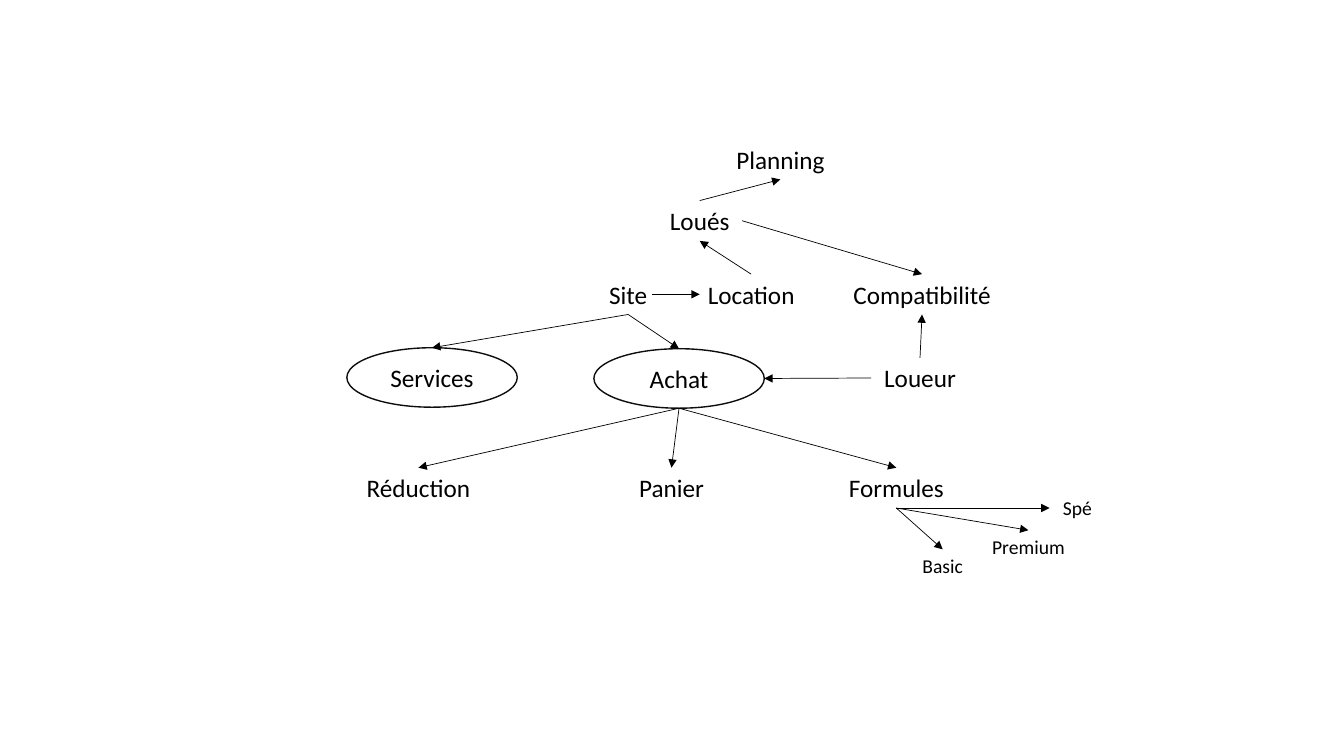
from dataclasses import dataclass

from lxml.etree import SubElement
from pptx import Presentation
from pptx.dml.color import RGBColor
from pptx.enum.shapes import MSO_CONNECTOR as Connector, MSO_SHAPE as Shape
from pptx.enum.text import MSO_ANCHOR as Anchor, MSO_AUTO_SIZE as AutoSize, PP_ALIGN as Align
from pptx.oxml.ns import qn
from pptx.util import Inches, Pt


@dataclass(frozen=True)
class Theme:
    font: str = "Calibri"
    ink: RGBColor = RGBColor(0, 0, 0)
    outline: RGBColor = RGBColor(0x0D, 0x0D, 0x0D)
    paper: RGBColor = RGBColor(255, 255, 255)
    topic_size: int = 18
    plan_size: int = 14
    outline_width: float = 1
    arrow_width: float = 0.5


THEME = Theme()

# Label: (left, top, width)
TOPICS = {
    "Planning": (7.03, 1.38, 1.42),
    "Loués": (6.52, 1.99, 0.84),
    "Site": (5.52, 2.72, 1.42),
    "Location": (6.74, 2.72, 1.42),
    "Compatibilité": (8.27, 2.72, 1.75),
    "Loueur": (8.64, 3.55, 0.97),
    "Réduction": (3.44, 4.64, 1.42),
    "Panier": (5.95, 4.64, 1.42),
    "Formules": (8.18, 4.64, 1.42),
}
PLANS = {
    "Spé": (10.41, 4.87, 0.55),
    "Premium": (9.49, 5.26, 1.42),
    "Basic": (8.64, 5.45, 1.42),
}
HUBS = {
    "Services": (3.44, 3.45, 1.69),
    "Achat": (5.89, 3.46, 1.69),
}
TOPIC_HEIGHT, PLAN_HEIGHT, HUB_HEIGHT = 0.4, 0.34, 0.59

# (start label, side, end label, side)
ARROWS = [
    ("Site", "bottom", "Services", "top"),
    ("Site", "bottom", "Achat", "top"),
    ("Location", "top", "Loués", "bottom"),
    ("Loués", "top", "Planning", "bottom"),
    ("Loués", "right", "Compatibilité", "top"),
    ("Loueur", "left", "Achat", "right"),
    ("Loueur", "top", "Compatibilité", "bottom"),
    ("Achat", "bottom", "Réduction", "top"),
    ("Achat", "bottom", "Panier", "top"),
    ("Achat", "bottom", "Formules", "top"),
    ("Formules", "bottom", "Basic", "top"),
    ("Formules", "bottom", "Premium", "top"),
    ("Formules", "bottom", "Spé", "left"),
]
SITE_TO_LOCATION = ((6.47, 2.92), (6.94, 2.92))

# Share of the width and height at which each side's midpoint lies
SIDES = {"top": (0.5, 0), "bottom": (0.5, 1), "left": (0, 0.5), "right": (1, 0.5)}


def write(frame, text, *, size, anchor=Anchor.TOP, autosize=AutoSize.NONE):
    frame.word_wrap = True
    frame.auto_size = autosize
    frame.vertical_anchor = anchor
    paragraph = frame.paragraphs[0]
    paragraph.alignment = Align.CENTER
    run = paragraph.add_run()
    run.text = text
    run.font.name = THEME.font
    run.font.size = Pt(size)
    run.font.color.rgb = THEME.ink


def add_label(slide, text, box, size):
    label = slide.shapes.add_textbox(*map(Inches, box))
    write(label.text_frame, text, size=size, autosize=AutoSize.SHAPE_TO_FIT_TEXT)


def add_hub(slide, text, box):
    hub = slide.shapes.add_shape(Shape.OVAL, *map(Inches, box))
    hub.shadow.inherit = False
    hub.fill.solid()
    hub.fill.fore_color.rgb = THEME.paper
    hub.line.color.rgb = THEME.outline
    hub.line.width = Pt(THEME.outline_width)
    write(hub.text_frame, text, size=THEME.topic_size, anchor=Anchor.MIDDLE)


def add_arrow(slide, start, end):
    arrow = slide.shapes.add_connector(Connector.STRAIGHT, *map(Inches, (*start, *end)))
    arrow.line.color.rgb = THEME.ink
    arrow.line.width = Pt(THEME.arrow_width)
    SubElement(arrow.line._get_or_add_ln(), qn("a:tailEnd"), type="triangle")
    SubElement(arrow._element.spPr, qn("a:effectLst"))


def side_point(box, side):
    left, top, width, height = box
    across, down = SIDES[side]
    return left + across * width, top + down * height


def with_height(places, height):
    return {text: (*place, height) for text, place in places.items()}


def main():
    deck = Presentation()
    deck.slide_width, deck.slide_height = Inches(13.33), Inches(7.5)
    slide = deck.slides.add_slide(deck.slide_layouts[6])

    hubs = with_height(HUBS, HUB_HEIGHT)
    topics = with_height(TOPICS, TOPIC_HEIGHT)
    plans = with_height(PLANS, PLAN_HEIGHT)
    boxes = {**hubs, **topics, **plans}

    for text, box in hubs.items():
        add_hub(slide, text, box)
    for labels, size in ((topics, THEME.topic_size), (plans, THEME.plan_size)):
        for text, box in labels.items():
            add_label(slide, text, box, size)

    add_arrow(slide, *SITE_TO_LOCATION)
    for source, exit_side, target, entry_side in ARROWS:
        add_arrow(slide, side_point(boxes[source], exit_side),
                  side_point(boxes[target], entry_side))

    deck.save("out.pptx")


if __name__ == "__main__":
    main()
